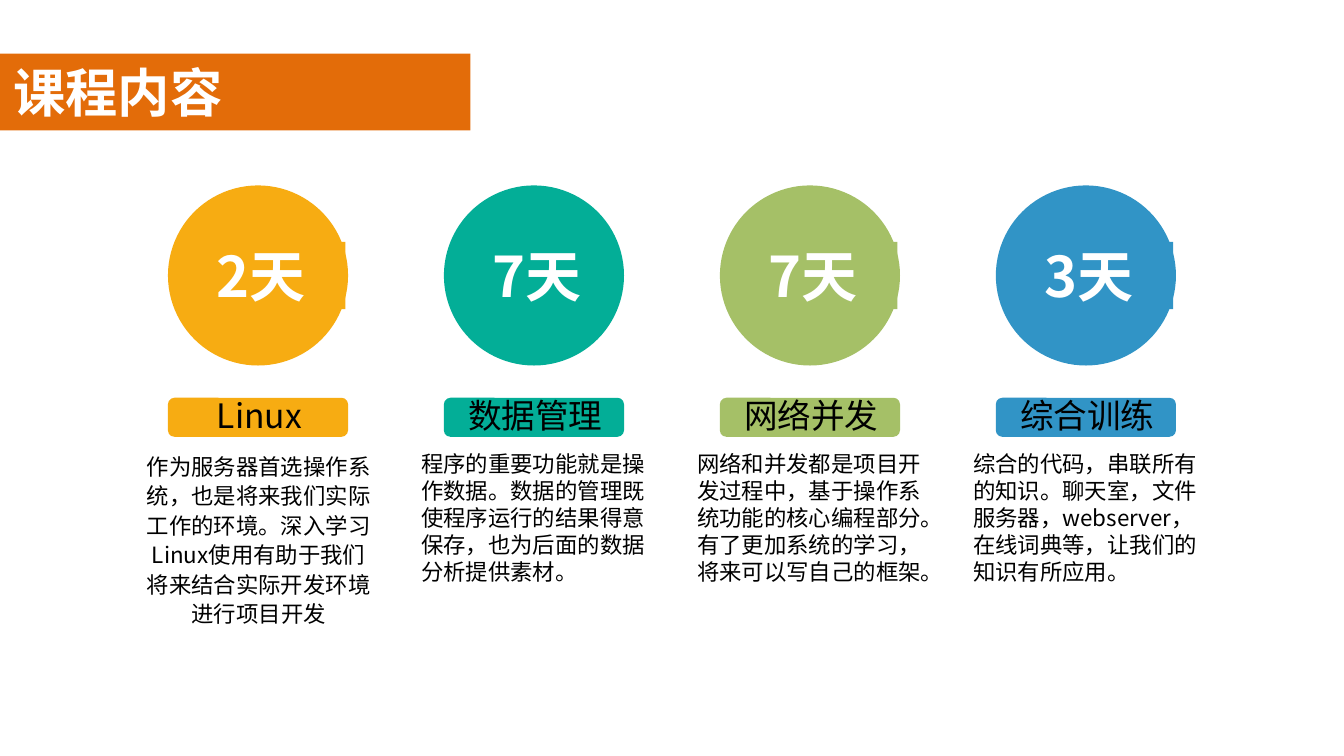
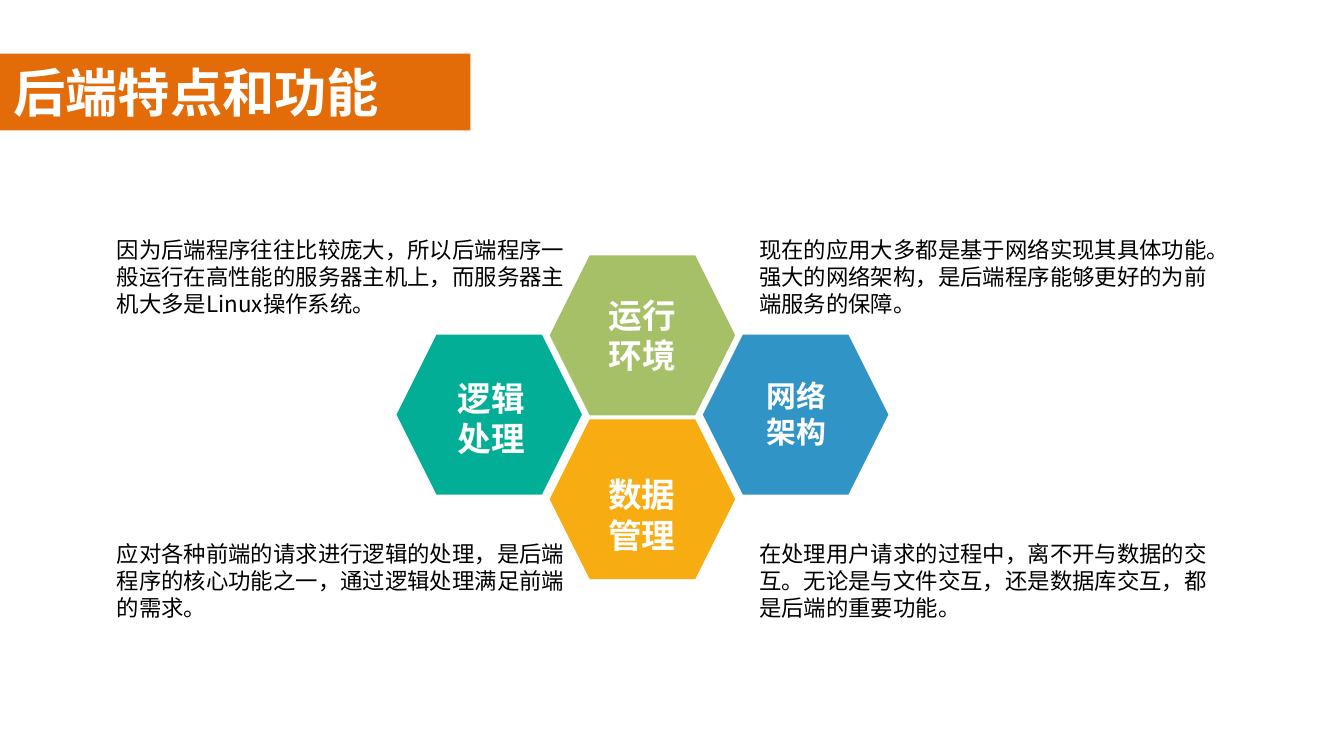
from lxml import etree
from pptx import Presentation
from pptx.dml.color import RGBColor
from pptx.enum import shapes, text
from pptx.oxml.ns import qn
from pptx.util import Inches, Pt

COLORS = {
    "white": "FFFFFF", "black": "000000", "band": "E36C09",
    "amber": "F7AC12", "teal": "03AE97", "green": "A5C067", "blue": "3194C6",
}
CJK, LATIN = "Noto Sans CJK SC", "Calibri"
SHAPE = shapes.MSO_SHAPE
LEFT, CENTER = text.PP_ALIGN.LEFT, text.PP_ALIGN.CENTER
TOP, MIDDLE = text.MSO_ANCHOR.TOP, text.MSO_ANCHOR.MIDDLE
GROW = text.MSO_AUTO_SIZE.SHAPE_TO_FIT_TEXT
TITLE_BAND = (0, 0.4, 3.5, 0.57)
PANEL = (0, 0.69, 10, 4.49)

COURSE_TITLE = "课程内容"
# days, topic, description, colour, day label is filled
COURSES = [
    ("2天", "Linux", "作为服务器首选操作系统，也是将来我们实际工作的环境。深入学习Linux使用"
     "有助于我们将来结合实际开发环境进行项目开发", "amber", True),
    ("7天", "数据管理", "程序的重要功能就是操作数据。数据的管理既使程序运行的结果得意保存，"
     "也为后面的数据分析提供素材。", "teal", False),
    ("7天", "网络并发", "网络和并发都是项目开发过程中，基于操作系统功能的核心编程部分。"
     "有了更加系统的学习，将来可以写自己的框架。", "green", True),
    ("3天", "综合训练", "综合的代码，串联所有的知识。聊天室，文件服务器，webserver，在线词典等，"
     "让我们的知识有所应用。", "blue", True),
]
COURSE_LEFT, COURSE_LAST, COURSE_WIDTH = 1.25, 7.41, 1.34

BACKEND_TITLE = "后端特点和功能"
ENVIRONMENT = "运行环境"
HEXAGON_SIZE = (1.38, 1.19)
HEXAGONS = [("green", 4.09, 1.9), ("teal", 2.95, 2.49),
            ("amber", 4.09, 3.12), ("blue", 5.23, 2.49)]
# lines, box, size
HEXAGON_LABELS = [
    (["数据", "管理"], (4.42, 3.48, 0.71, 0.71), 18),
    (["逻辑", "处理"], (3.3, 2.76, 0.71, 0.71), 18),
    (["网络", "架构"], (5.6, 2.76, 0.65, 0.64), 16),
]
NOTE_COLUMNS, NOTE_ROWS = (0.77, 5.55), (1.71, 3.97)
BACKEND_NOTES = [
    ["因为后端程序往往比较庞大，所以后端程序一般运行在高性能的服务器主机上，"
     "而服务器主机大多是Linux操作系统。",
     "现在的应用大多都是基于网络实现其具体功能。强大的网络架构，"
     "是后端程序能够更好的为前端服务的保障。"],
    ["应对各种前端的请求进行逻辑的处理，是后端程序的核心功能之一，"
     "通过逻辑处理满足前端的需求。",
     "在处理用户请求的过程中，离不开与数据的交互。无论是与文件交互，"
     "还是数据库交互，都是后端的重要功能。"],
]


def rgb(color):
    return RGBColor.from_string(COLORS[color])


def inches(box):
    return [Inches(length) for length in box]


def add_filled(slide, preset, box, color):
    shape = slide.shapes.add_shape(preset, *inches(box))
    shape.shadow.inherit = False
    shape.fill.solid()
    shape.fill.fore_color.rgb = rgb(color)
    shape.line.fill.background()
    return shape


def write(shape, lines, size, color="black", font=CJK, bold=False, align=LEFT,
          anchor=TOP, insets=(0.1, 0.05), before=0, spacing=1.0, wrap=True,
          autofit=GROW):
    frame = shape.text_frame
    frame.word_wrap, frame.auto_size, frame.vertical_anchor = wrap, autofit, anchor
    side, edge = inches(insets)
    frame.margin_left = frame.margin_right = side
    frame.margin_top = frame.margin_bottom = edge
    frame.text = "\n".join(lines)
    for paragraph in frame.paragraphs:
        paragraph.alignment = align
        paragraph.space_before = Pt(before)
        paragraph.line_spacing = spacing
        style = paragraph.font
        style.size, style.bold, style.name = Pt(size), bold, font
        style.color.rgb = rgb(color)
        latin = style._rPr.find(qn("a:latin"))
        latin.addnext(etree.Element(qn("a:ea"), typeface=CJK))


def add_text(slide, box, lines, size, **style):
    write(slide.shapes.add_textbox(*inches(box)), lines, size, **style)


def add_titled_slide(deck, heading):
    slide = deck.slides.add_slide(deck.slide_layouts[5])
    panel = add_filled(slide, SHAPE.RECTANGLE, PANEL, "white")
    panel_color = panel.fill._xPr.find(".//" + qn("a:srgbClr"))
    etree.SubElement(panel_color, qn("a:alpha"), val="50000")
    add_filled(slide, SHAPE.RECTANGLE, TITLE_BAND, "band")

    title = slide.shapes.title
    title.left, title.top, title.width, title.height = inches(TITLE_BAND)
    write(title, [heading], 28, color="white", font=LATIN, bold=True)
    slide.shapes._spTree.append(title._element)  # bring in front of the band
    return slide


def build_courses(deck):
    slide = add_titled_slide(deck, COURSE_TITLE)
    pitch = (COURSE_LAST - COURSE_LEFT) / (len(COURSES) - 1)
    centered = dict(align=CENTER, anchor=MIDDLE, insets=(0, 0), before=3)
    for i, (days, topic, description, color, filled) in enumerate(COURSES):
        left = COURSE_LEFT + i * pitch
        add_filled(slide, SHAPE.OVAL, (left, 1.38, COURSE_WIDTH, COURSE_WIDTH), color)
        days_box = (left + 0.07, 1.8, 1.25, 0.5)
        days_style = dict(centered, color="white", bold=True)
        if filled:
            write(add_filled(slide, SHAPE.RECTANGLE, days_box, color),
                  [days], 30, **days_style)
        else:
            add_text(slide, days_box, [days], 30, **days_style)

        add_filled(slide, SHAPE.ROUNDED_RECTANGLE,
                   (left, 2.96, COURSE_WIDTH, 0.29), color)
        add_text(slide, (left + 0.04, 2.94, 1.28, 0.3), [topic], 18, **centered)
        first = i == 0
        add_text(slide, (left - 0.17, 3.35, 1.69, 1.33 if first else 1.01),
                 [description], 12, insets=(0, 0),
                 align=CENTER if first else LEFT, spacing=1.1 if first else 1.0)


def build_backend(deck):
    slide = add_titled_slide(deck, BACKEND_TITLE)
    label_style = dict(color="white", font=LATIN, bold=True, align=CENTER)
    hexagons = [add_filled(slide, SHAPE.HEXAGON, (left, top, *HEXAGON_SIZE), color)
                for color, left, top in HEXAGONS]
    write(hexagons[0], [ENVIRONMENT], 18, anchor=MIDDLE, insets=(0.14, 0.05),
          autofit=text.MSO_AUTO_SIZE.NONE, **label_style)
    for lines, box, size in HEXAGON_LABELS:
        add_text(slide, box, lines, size, wrap=False, **label_style)
    for top, notes in zip(NOTE_ROWS, BACKEND_NOTES):
        for left, note in zip(NOTE_COLUMNS, notes):
            add_text(slide, (left, top, 3.68, 0.71), [note], 12)


def main():
    deck = Presentation()
    deck.slide_width = Inches(10)
    deck.slide_height = deck.slide_width * 9 // 16
    build_courses(deck)
    build_backend(deck)
    deck.save("out.pptx")


if __name__ == "__main__":
    main()
